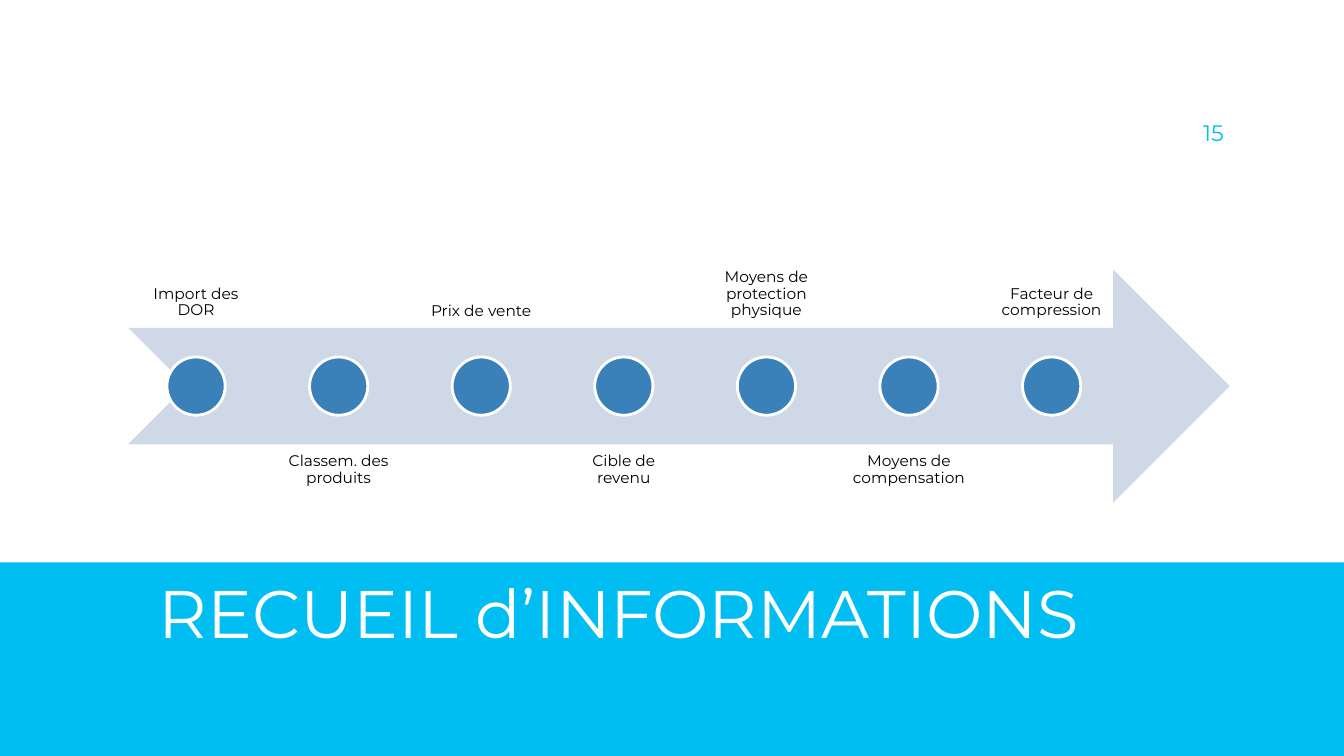
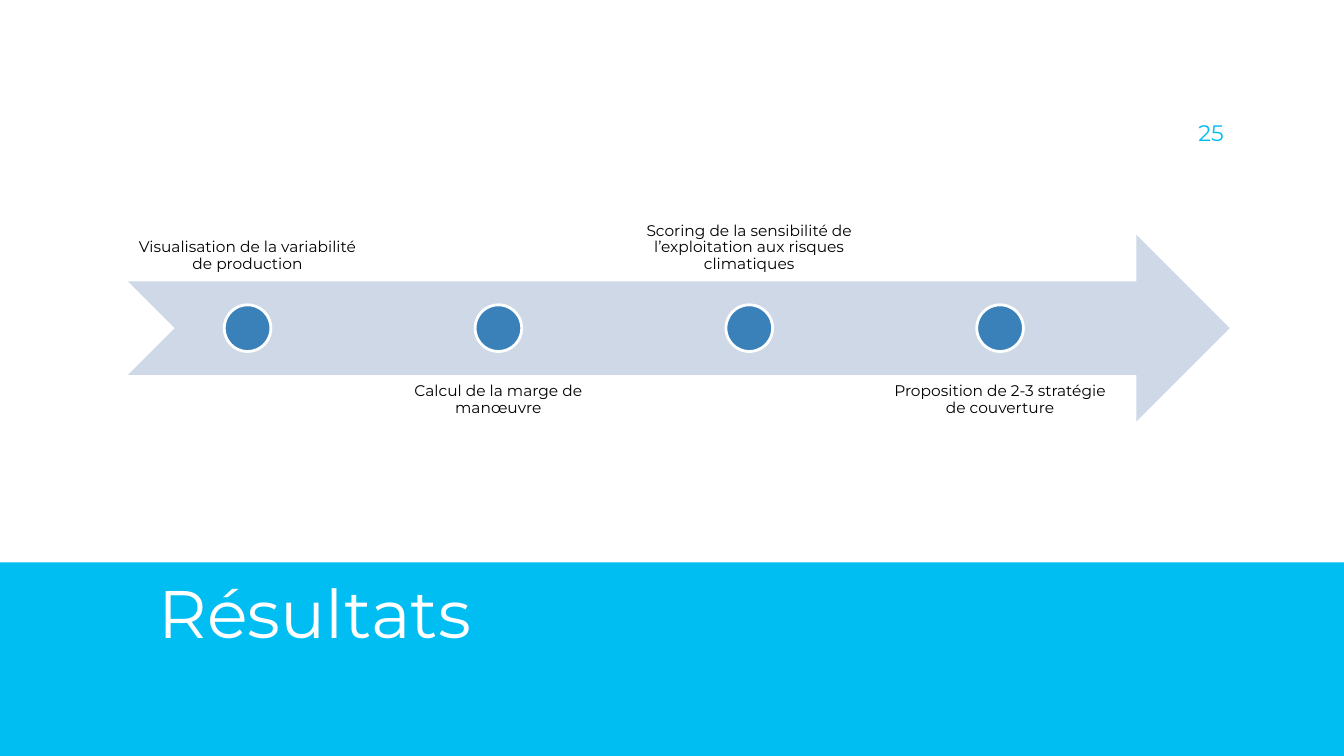
"""Build two slides, each with a dotted timeline arrow above a titled blue band."""
from pptx import Presentation
from pptx.dml.color import RGBColor
from pptx.enum.shapes import MSO_SHAPE as Shape
from pptx.enum.text import MSO_ANCHOR as Anchor, PP_ALIGN as Align
from pptx.util import Cm, Pt

FONT = "Montserrat"
CYAN = RGBColor(0x00, 0xBE, 0xF2)
PALE = RGBColor(0xCE, 0xD8, 0xE7)
BLUE = RGBColor(0x3A, 0x81, 0xBA)
WHITE = RGBColor(0xFF, 0xFF, 0xFF)
BLACK = RGBColor(0x00, 0x00, 0x00)

LEFT, TOP, WIDTH = 3.23, 2.39, 27.76

SLIDES = [
    ("RECUEIL d’INFORMATIONS", "15", 14.68, [
        "Import des DOR",
        "Classem. des produits",
        "Prix de vente",
        "Cible de revenu",
        "Moyens de protection physique",
        "Moyens de compensation",
        "Facteur de compression",
    ]),
    ("Résultats", "25", 11.76, [
        "Visualisation de la variabilité de production",
        "Calcul de la marge de manœuvre",
        "Scoring de la sensibilité de l’exploitation aux risques climatiques",
        "Proposition de 2-3 stratégie de couverture",
    ]),
]


def add_form(slide, kind, x, y, w, h, fill):
    form = slide.shapes.add_shape(kind, Cm(x), Cm(y), Cm(w), Cm(h))
    form.shadow.inherit = False
    form.fill.solid()
    form.fill.fore_color.rgb = fill
    form.line.fill.background()
    return form


def add_text(slide, text, x, y, w, h, size, color, align, anchor, inset):
    box = slide.shapes.add_textbox(Cm(x), Cm(y), Cm(w), Cm(h))
    frame = box.text_frame
    frame.word_wrap = True
    frame.vertical_anchor = anchor
    frame.margin_left = frame.margin_right = Cm(inset)
    frame.margin_top = frame.margin_bottom = Cm(inset)
    frame.text = text
    par = frame.paragraphs[0]
    par.alignment = align
    font = par.runs[0].font
    font.name, font.size, font.color.rgb = FONT, Pt(size), color
    return par


deck = Presentation()
deck.slide_width, deck.slide_height = Cm(33.87), Cm(19.05)

for title, number, height, steps in SLIDES:
    slide = deck.slides.add_slide(deck.slide_layouts[6])
    add_form(slide, Shape.RECTANGLE, 0, 14.17, 33.87, 4.88, CYAN)
    head = add_text(slide, title, 3.75, 14.17, 27.34, 2.49, 48, WHITE,
                    Align.LEFT, Anchor.MIDDLE, 0.25)
    head.space_before = Pt(4.8)
    add_text(slide, number, 29.06, 2.41, 2.03, 1.52, 16, CYAN,
             Align.RIGHT, Anchor.BOTTOM, 0.25)

    tall = 0.4 * height
    add_form(slide, Shape.NOTCHED_RIGHT_ARROW, LEFT, TOP + 0.3 * height,
             WIDTH, tall, PALE)

    count = len(steps)
    wide = 0.9 * WIDTH / (count + 0.05 * (count - 1))
    size = 0.1 * height
    for i, step in enumerate(steps):
        x = LEFT + i * 1.05 * wide
        below = i % 2 == 1
        y = TOP + 0.6 * height if below else TOP
        label = add_text(slide, step, x, y, wide, tall, 11, BLACK, Align.CENTER,
                         Anchor.TOP if below else Anchor.BOTTOM, 0.22)
        label.line_spacing = 0.9
        dot = add_form(slide, Shape.OVAL, x + (wide - size) / 2,
                       TOP + (height - size) / 2, size, size, BLUE)
        dot.line.color.rgb = WHITE
        dot.line.width = Pt(2)

deck.save("out.pptx")
